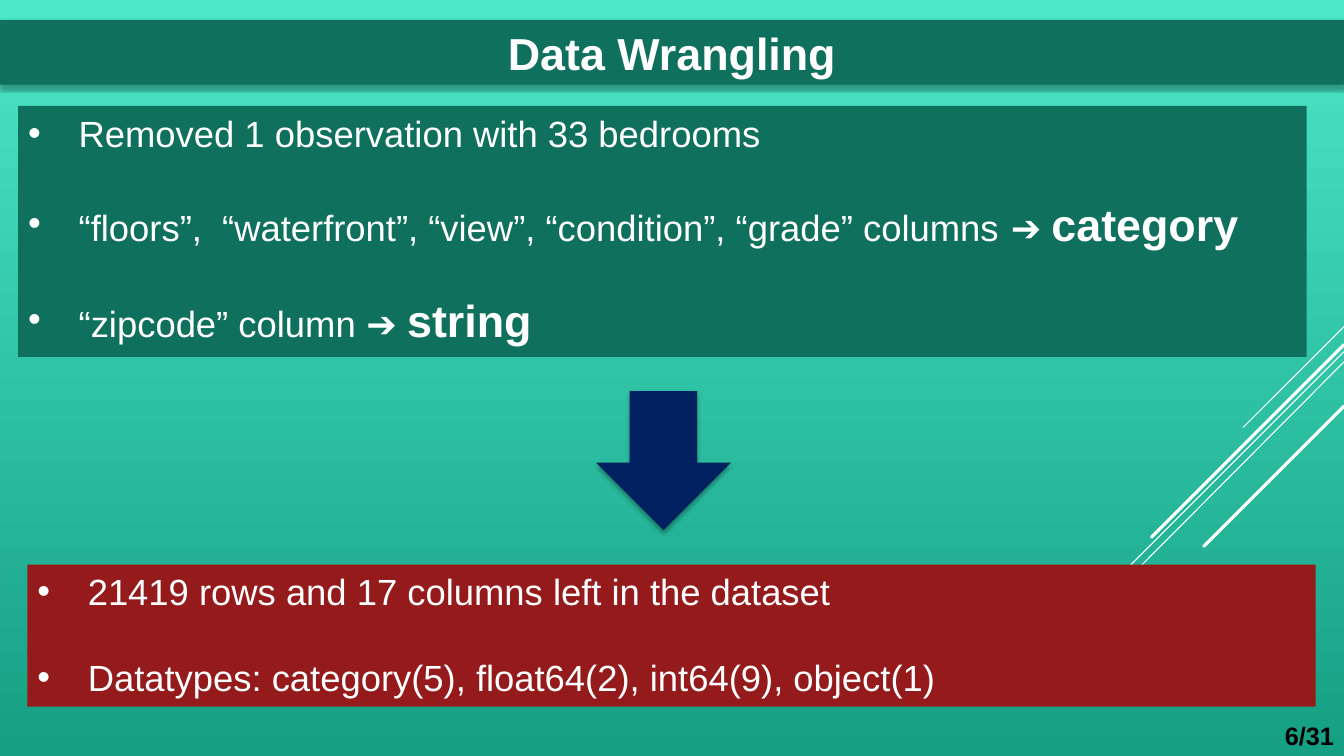
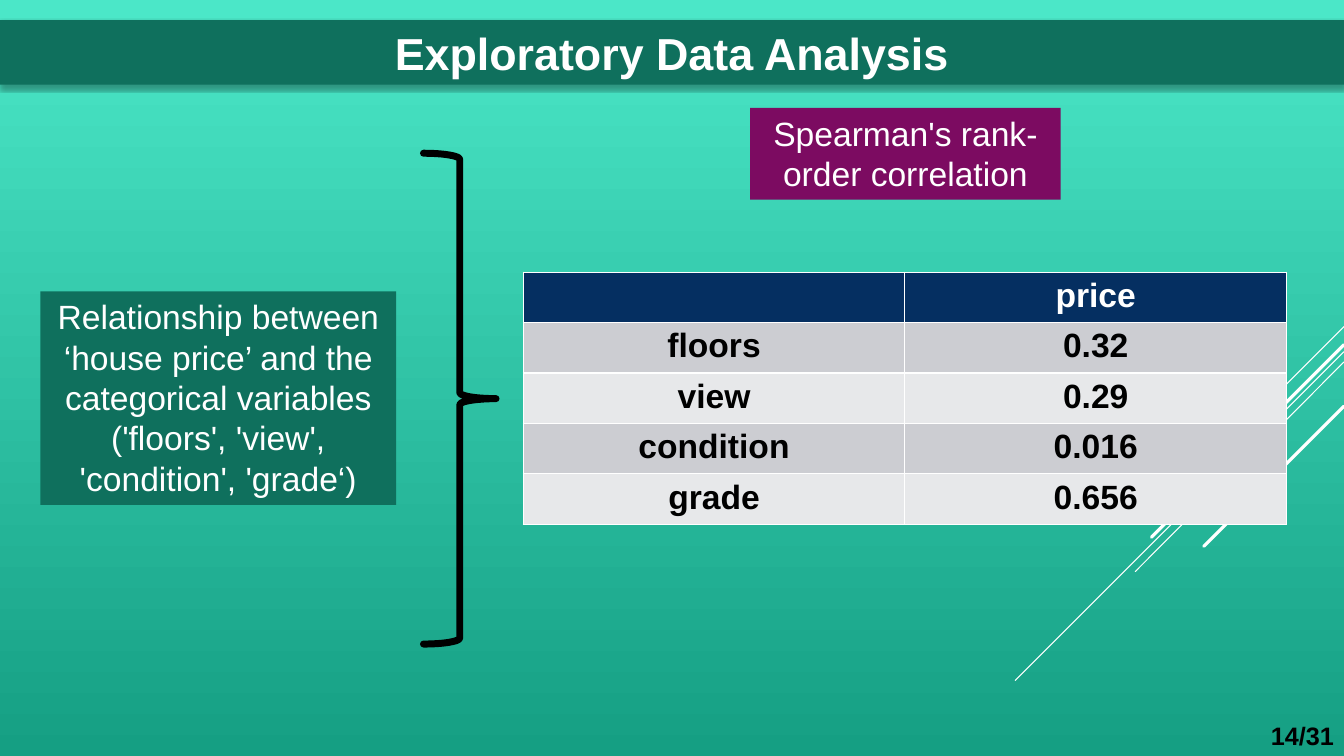
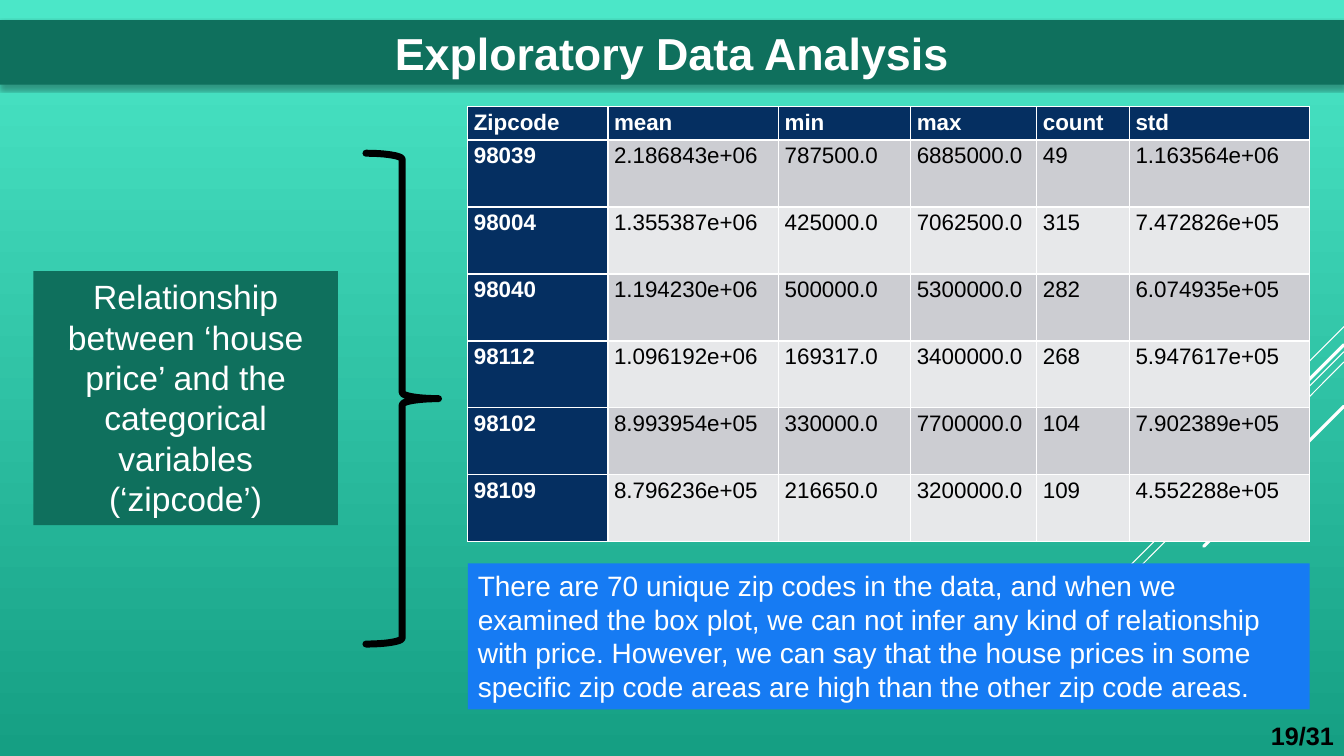
from dataclasses import dataclass
from typing import NamedTuple

from lxml.etree import SubElement
from pptx import Presentation
from pptx.dml.color import RGBColor
from pptx.enum.shapes import MSO_CONNECTOR, MSO_SHAPE
from pptx.enum.text import MSO_ANCHOR, MSO_AUTO_SIZE, PP_ALIGN
from pptx.oxml.ns import qn
from pptx.util import Emu, Inches, Pt


@dataclass(frozen=True)
class Theme:
    font: str = "Arial"
    white: str = "FFFFFF"
    black: str = "000000"
    green: str = "0F705D"
    red: str = "941A1B"
    purple: str = "7C0B61"
    blue: str = "167BF3"
    navy: str = "002060"
    header: str = "052F61"
    bands: tuple[str, str] = ("CCCDD2", "E7E8EA")
    background: tuple[str, str] = ("159F83", "4BE7C8")
    title_size: int = 32
    list_size: int = 26
    panel_size: int = 24
    note_size: int = 20
    page_size: int = 18
    data_size: int = 16


class Box(NamedTuple):
    left: float
    top: float
    width: float
    height: float


class Stroke(NamedTuple):
    start_y: float
    end_x: float
    end_y: float
    weight: float


class Piece(NamedTuple):
    text: str
    size: int
    bold: bool = False
    color: str = "FFFFFF"


@dataclass(frozen=True)
class Panel:
    box: Box
    fill: str
    piece: Piece
    align: PP_ALIGN = PP_ALIGN.CENTER


@dataclass(frozen=True)
class TableStyle:
    size: int
    align: PP_ALIGN
    bold_values: bool = False
    filled_labels: bool = False
    compact: bool = False


THEME = Theme()
TITLE_BOX = Box(0, 2.67, 100, 8.53)
PAGE_BOX = Box(93.55, 94.27, 6.45, 5.73)
STROKES = (
    Stroke(43.2, 92.5, 56.53, 0.75),
    Stroke(46.53, 75.54, 90, 0.75),
    Stroke(47.87, 84.47, 75.6, 0.75),
    Stroke(45.6, 85.67, 71.07, 2.25),
    Stroke(53.73, 89.57, 72.27, 2.25),
)

presentation = Presentation()
presentation.slide_width = Inches(13.33)
presentation.slide_height = Inches(7.5)
TWO_LISTS = presentation.slide_layouts[3]
TITLE_ONLY = presentation.slide_layouts[5]


def across(share: float) -> Emu:
    return Emu(round(presentation.slide_width * share / 100))


def down(share: float) -> Emu:
    return Emu(round(presentation.slide_height * share / 100))


def frame(box: Box) -> tuple[Emu, Emu, Emu, Emu]:
    return across(box.left), down(box.top), across(box.width), down(box.height)


def place(shape, box: Box) -> None:
    shape.left, shape.top, shape.width, shape.height = frame(box)


def paint(shape, color: str) -> None:
    shape.fill.solid()
    shape.fill.fore_color.rgb = RGBColor.from_string(color)
    shape.line.fill.background()
    shape.shadow.inherit = False


def draw_line(shape, color: str, weight: float) -> None:
    shape.line.color.rgb = RGBColor.from_string(color)
    shape.line.width = Pt(weight)
    shape.element.spPr.find(qn("a:ln")).set("cap", "rnd")


def cast_shadow(shape) -> None:
    effects = shape.element.spPr.find(qn("a:effectLst"))
    shadow = SubElement(effects, qn("a:outerShdw"), blurRad=str(Pt(3.5)),
                        dist=str(Pt(2.2)), dir="5400000", rotWithShape="0")
    color = SubElement(shadow, qn("a:srgbClr"), val=THEME.black)
    SubElement(color, qn("a:alpha"), val="32000")


def prepare_text(shape, anchor: MSO_ANCHOR = MSO_ANCHOR.TOP):
    text_frame = shape.text_frame
    text_frame.word_wrap = True
    text_frame.auto_size = MSO_AUTO_SIZE.NONE
    text_frame.vertical_anchor = anchor
    return text_frame


def write(paragraph, pieces: tuple[Piece, ...], align: PP_ALIGN) -> None:
    paragraph.alignment = align
    for piece in pieces:
        run = paragraph.add_run()
        run.text = piece.text
        run.font.name = THEME.font
        run.font.size = Pt(piece.size)
        run.font.bold = piece.bold
        run.font.color.rgb = RGBColor.from_string(piece.color)


def decorate_master(slide) -> None:
    master = presentation.slide_master
    fill = master.background.fill
    fill.gradient()
    fill.gradient_angle = 90
    for stop, color in zip(fill.gradient_stops, THEME.background):
        stop.color.rgb = RGBColor.from_string(color)
    for number, stroke in enumerate(STROKES, 100):
        connector = slide.shapes.add_connector(
            MSO_CONNECTOR.STRAIGHT, across(100), down(stroke.start_y),
            across(stroke.end_x), down(stroke.end_y))
        draw_line(connector, THEME.white, stroke.weight)
        SubElement(connector.element.spPr, qn("a:effectLst"))
        connector.element.nvCxnSpPr.cNvPr.id = number
        master.shapes.element.append(connector.element)


def start_slide(layout, title: str, page: str):
    slide = presentation.slides.add_slide(layout)
    band = slide.shapes.title
    place(band, TITLE_BOX)
    paint(band, THEME.green)
    cast_shadow(band)
    write(prepare_text(band).paragraphs[0],
          (Piece(title, THEME.title_size, True),), PP_ALIGN.CENTER)
    page_box = slide.shapes.add_textbox(*frame(PAGE_BOX))
    write(prepare_text(page_box, MSO_ANCHOR.BOTTOM).paragraphs[0],
          (Piece(page, THEME.page_size, True, THEME.black),), PP_ALIGN.RIGHT)
    return slide


def fill_list(placeholder, box: Box, color: str,
              items: tuple[tuple[Piece, ...], ...]) -> None:
    place(placeholder, box)
    paint(placeholder, color)
    text_frame = prepare_text(placeholder)
    for index, pieces in enumerate(items):
        paragraph = text_frame.add_paragraph() if index else text_frame.paragraphs[0]
        write(paragraph, pieces, PP_ALIGN.LEFT)
        paragraph.space_before = Pt(30 if index else 0)
        properties = paragraph._p.get_or_add_pPr()
        properties.set("marL", str(Inches(0.5)))
        properties.set("indent", str(-Inches(0.5)))
        SubElement(properties, qn("a:buFont"), typeface=THEME.font)
        SubElement(properties, qn("a:buChar"), char="•")


def add_panel(slide, panel: Panel) -> None:
    shape = slide.shapes.add_shape(MSO_SHAPE.RECTANGLE, *frame(panel.box))
    paint(shape, panel.fill)
    write(prepare_text(shape).paragraphs[0], (panel.piece,), panel.align)


def add_brace(slide, left: float) -> None:
    brace = slide.shapes.add_shape(
        MSO_SHAPE.RIGHT_BRACE, *frame(Box(left, 20.27, 5.4, 64.93)))
    brace.fill.background()
    brace.shadow.inherit = False
    draw_line(brace, THEME.black, 5)


def add_data_table(slide, left: float, top: float, columns: tuple[float, ...],
                   heights: tuple[float, ...], rows: tuple[tuple[str, ...], ...],
                   style: TableStyle) -> None:
    box = Box(left, top, sum(columns), sum(heights))
    table = slide.shapes.add_table(len(rows), len(columns), *frame(box)).table
    for column, width in zip(table.columns, columns):
        column.width = across(width)
    for row_index, (values, height) in enumerate(zip(rows, heights)):
        table.rows[row_index].height = down(height)
        for column_index, value in enumerate(values):
            cell = table.cell(row_index, column_index)
            dark = row_index == 0 or (style.filled_labels and column_index == 0)
            fill = THEME.header if dark else THEME.bands[(row_index - 1) % 2]
            cell.fill.solid()
            cell.fill.fore_color.rgb = RGBColor.from_string(fill)
            paragraph = cell.text_frame.paragraphs[0]
            if style.compact:
                cell.margin_left = cell.margin_right = Inches(0.06)
                cell.margin_top = cell.margin_bottom = 0
                paragraph.line_spacing = 1.15
                paragraph.space_after = Pt(8)
            if value:
                color = THEME.white if dark else THEME.black
                bold = dark or style.bold_values
                write(paragraph, (Piece(value, style.size, bold, color),), style.align)


def build_wrangling() -> None:
    slide = start_slide(TWO_LISTS, "Data Wrangling", "6/31")
    decorate_master(slide)
    size, strong = THEME.list_size, THEME.title_size
    fill_list(slide.placeholders[1], Box(1.35, 14, 95.87, 33.2), THEME.green, (
        (Piece("Removed 1 observation with 33 bedrooms", size),),
        (Piece("“floors”,  “waterfront”, “view”, “condition”, “grade” columns ➔ ", size),
         Piece("category", strong, True)),
        (Piece("“zipcode” column ➔ ", size), Piece("string", strong, True)),
    ))
    fill_list(slide.placeholders[2], Box(2.03, 74.67, 95.87, 18.8), THEME.red, (
        (Piece("21419 rows and 17 columns left in the dataset", size),),
        (Piece("Datatypes: category(5), float64(2), int64(9), object(1)", size),),
    ))
    arrow = slide.shapes.add_shape(
        MSO_SHAPE.DOWN_ARROW, *frame(Box(44.34, 51.73, 10.05, 18.4)))
    paint(arrow, THEME.navy)
    cast_shadow(arrow)


def build_correlation() -> None:
    slide = start_slide(TITLE_ONLY, "Exploratory Data Analysis", "14/31")
    add_panel(slide, Panel(Box(3, 38.53, 26.48, 28.27), THEME.green, Piece(
        "Relationship between ‘house price’ and the categorical variables "
        "('floors', 'view', 'condition', 'grade‘)", THEME.panel_size)))
    add_panel(slide, Panel(Box(55.81, 14.27, 23.11, 12.13), THEME.purple, Piece(
        "Spearman's rank-order correlation", THEME.panel_size)))
    add_brace(slide, 31.51)
    rows = (
        ("", "price"),
        ("floors", "0.32"),
        ("view", "0.29"),
        ("condition", "0.016"),
        ("grade", "0.656"),
    )
    add_data_table(slide, 38.93, 36, (28.4,) * 2, (6.67,) * len(rows), rows,
                   TableStyle(THEME.panel_size, PP_ALIGN.CENTER, bold_values=True))


def build_zipcodes() -> None:
    slide = start_slide(TITLE_ONLY, "Exploratory Data Analysis", "19/31")
    add_panel(slide, Panel(Box(2.48, 35.87, 22.66, 33.6), THEME.green, Piece(
        "Relationship between ‘house price’ and the categorical variables "
        "(‘zipcode’)", THEME.panel_size)))
    add_brace(slide, 27.23)
    rows = (
        ("Zipcode", "mean", "min", "max", "count", "std"),
        ("98039", "2.186843e+06", "787500.0", "6885000.0", "49", "1.163564e+06"),
        ("98004", "1.355387e+06", "425000.0", "7062500.0", "315", "7.472826e+05"),
        ("98040", "1.194230e+06", "500000.0", "5300000.0", "282", "6.074935e+05"),
        ("98112", "1.096192e+06", "169317.0", "3400000.0", "268", "5.947617e+05"),
        ("98102", "8.993954e+05", "330000.0", "7700000.0", "104", "7.902389e+05"),
        ("98109", "8.796236e+05", "216650.0", "3200000.0", "109", "4.552288e+05"),
    )
    add_data_table(slide, 34.81, 14.13, (10.43, 12.7, 9.83, 9.38, 6.9, 13.4),
                   (4.4,) + (8.86,) * (len(rows) - 1), rows,
                   TableStyle(THEME.data_size, PP_ALIGN.LEFT,
                              filled_labels=True, compact=True))
    add_panel(slide, Panel(Box(34.81, 74.53, 62.64, 19.33), THEME.blue, Piece(
        "There are 70 unique zip codes in the data, and when we examined the box "
        "plot, we can not infer any kind of relationship with price. However, we "
        "can say that the house prices in some specific zip code areas are high "
        "than the other zip code areas.", THEME.note_size), PP_ALIGN.LEFT))


build_wrangling()
build_correlation()
build_zipcodes()
presentation.save("out.pptx")
